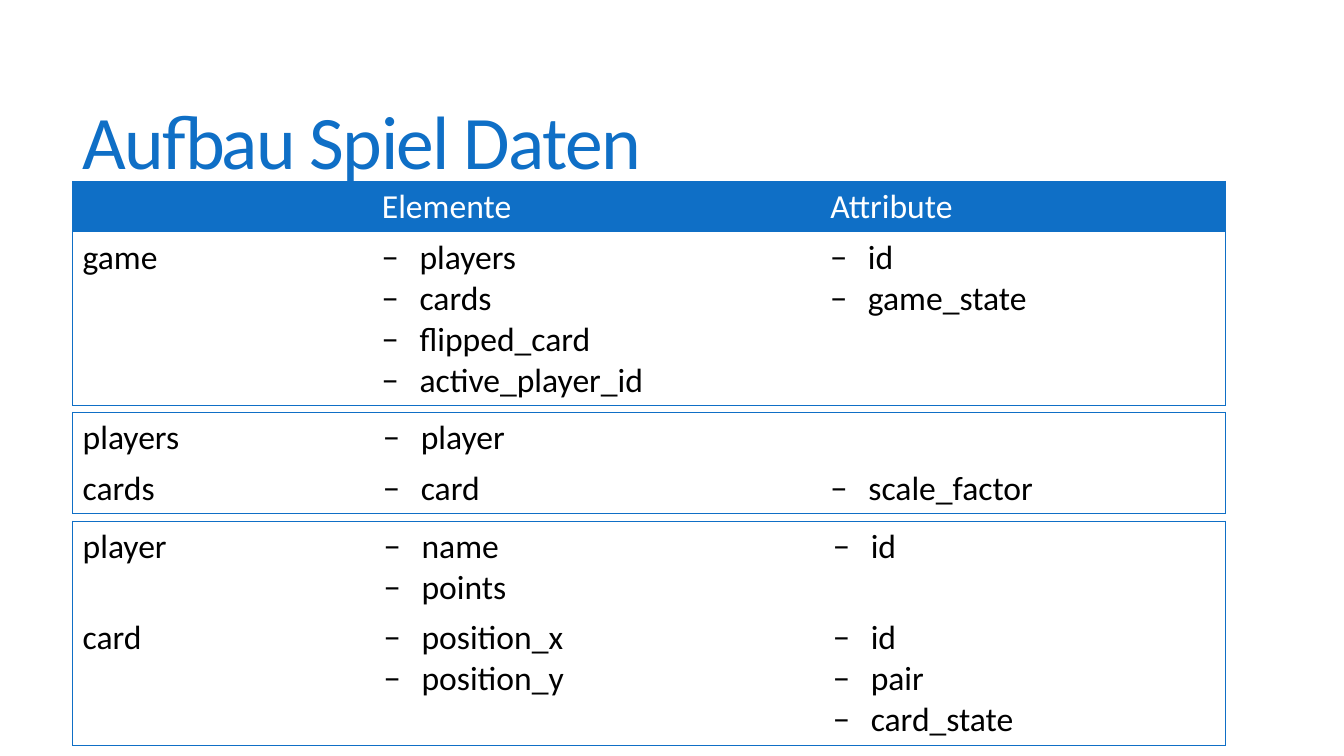
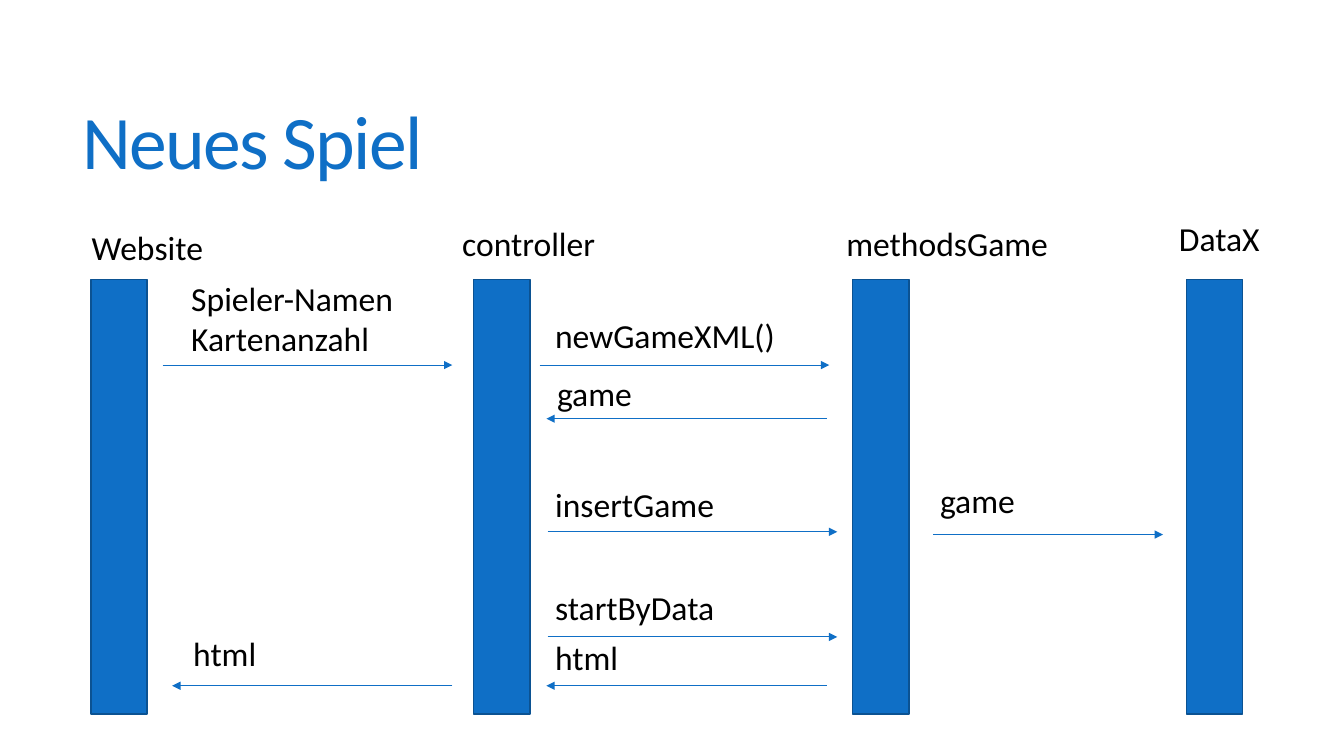
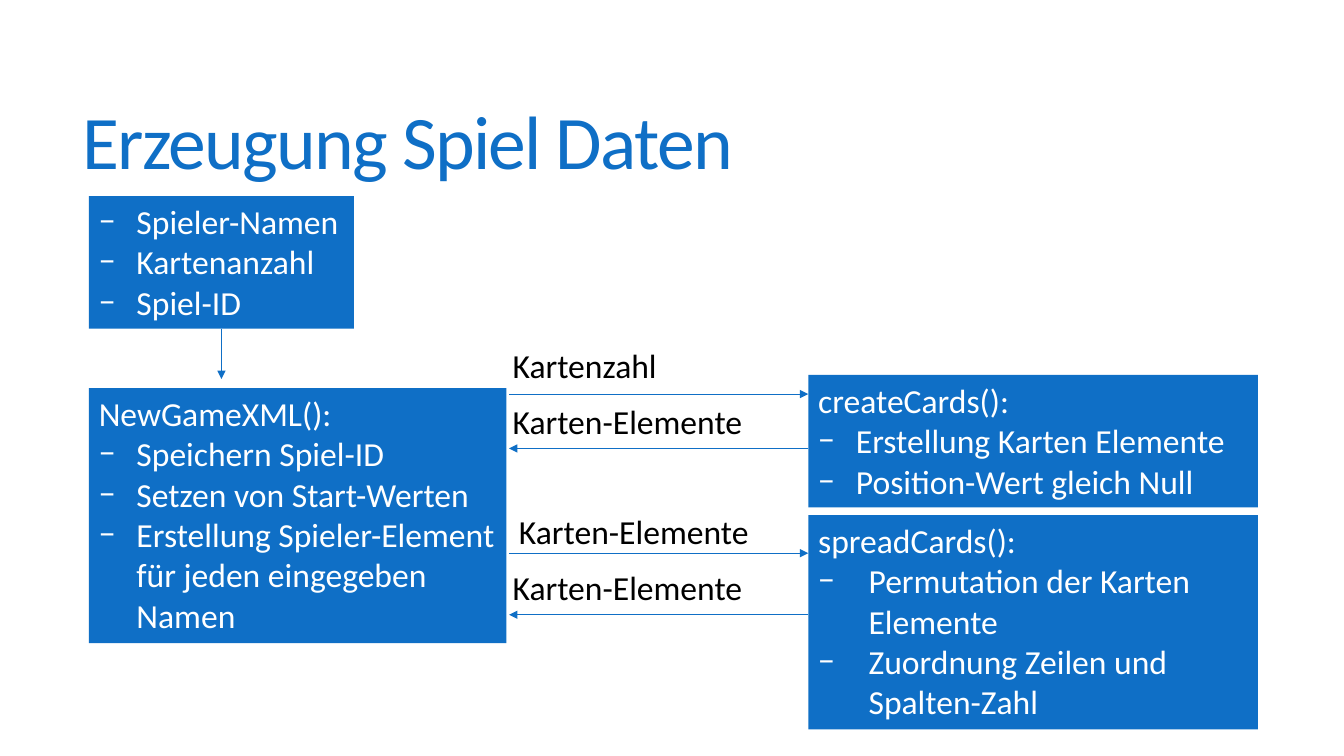
"""Builds three slides on the data and the calls of a card game."""
from dataclasses import dataclass

from lxml import etree
from pptx import Presentation
from pptx.dml.color import RGBColor
from pptx.enum.shapes import MSO_CONNECTOR, MSO_SHAPE
from pptx.enum.text import MSO_ANCHOR, PP_ALIGN
from pptx.oxml.ns import qn
from pptx.util import Cm, Pt

RECT = MSO_SHAPE.RECTANGLE
STRAIGHT = MSO_CONNECTOR.STRAIGHT
TOP, MIDDLE = MSO_ANCHOR.TOP, MSO_ANCHOR.MIDDLE
LEFT = PP_ALIGN.LEFT
COLORS = {"blue": "0F6FC6", "edge": "0B5292", "white": "FFFFFF", "black": "000000"}
FONT = "Calibri"
SIZE = 24
THIN = 0.75
PAD, STEP = 0.25, 1.03
INDENT = 0.95
BAR_TOP, BAR_WIDE, BAR_HIGH = 7.04, 1.42, 10.95


@dataclass
class Para:
    text: str
    indent: float = 0


@dataclass
class Label:
    left: float
    top: float
    text: str
    width: float = 6.68


@dataclass
class Arrow:
    start: float
    end: float
    y: float


@dataclass
class Box:
    left: float
    top: float
    width: float
    lines: int
    paras: list[Para]


@dataclass
class Grid:
    top: float
    widths: list[float]
    rows: list[tuple[str, list[str], list[str]]]
    head: bool = False


GRIDS = [
    Grid(4.57, [7.54, 11.3, 10.21], [
        ("", ["Elemente"], ["Attribute"]),
        ("game", ["players", "cards", "flipped_card", "active_player_id"],
         ["id", "game_state"]),
    ], True),
    Grid(10.39, [7.57, 11.28, 10.2], [
        ("players", ["player"], []),
        ("cards", ["card"], ["scale_factor"]),
    ]),
    Grid(13.13, [7.59, 11.32, 10.14], [
        ("player", ["name", "points"], ["id"]),
        ("card", ["position_x", "position_y"], ["id", "pair", "card_state"]),
    ]),
]
BARS = [2.29, 11.94, 21.49, 29.9]
CALLS = [
    Label(2.06, 5.59, "Website"),
    Label(11.4, 5.49, "controller"),
    Label(21.08, 5.49, "methodsGame"),
    Label(29.46, 5.36, "DataX", 4.39),
    Label(4.57, 6.88, "Spieler-Namen\nKartenanzahl"),
    Label(13.74, 7.82, "newGameXML()"),
    Label(13.79, 9.27, "game"),
    Label(13.74, 12.07, "insertGame"),
    Label(23.44, 11.96, "game"),
    Label(13.74, 14.66, "startByData"),
    Label(13.74, 15.93, "html"),
    Label(4.62, 15.82, "html"),
]
FLOWS = [
    Arrow(4.1, 11.4, 9.2),
    Arrow(13.6, 20.9, 9.2),
    Arrow(20.83, 13.77, 10.55),
    Arrow(13.8, 21.1, 13.4),
    Arrow(23.52, 29.31, 13.47),
    Arrow(13.8, 21.1, 16.05),
    Arrow(20.83, 13.77, 17.28),
    Arrow(11.4, 4.34, 17.28),
]
INPUT = Box(2.24, 4.94, 6.68, 3, [
    Para("Spieler-Namen", INDENT),
    Para("Kartenanzahl", INDENT),
    Para("Spiel-ID", INDENT),
])
STEPS = [
    Box(2.24, 9.78, 10.52, 6, [
        Para("NewGameXML():"),
        Para("Speichern Spiel-ID", INDENT),
        Para("Setzen von Start-Werten", INDENT),
        Para("Erstellung Spieler-Element für jeden eingegeben Namen", INDENT),
    ]),
    Box(20.37, 9.45, 11.33, 3, [
        Para("createCards():"),
        Para("Erstellung Karten Elemente", INDENT),
        Para("Position-Wert gleich Null", INDENT),
    ]),
    Box(20.37, 12.98, 11.33, 5, [
        Para("spreadCards():"),
        Para("Permutation der Karten Elemente", 1.27),
        Para("Zuordnung Zeilen und Spalten-Zahl", 1.27),
    ]),
]
NOTES = [
    Label(12.67, 8.56, "Kartenzahl"),
    Label(12.67, 9.98, "Karten-Elemente"),
    Label(12.83, 12.75, "Karten-Elemente"),
    Label(12.67, 14.17, "Karten-Elemente"),
]
LINKS = [
    Arrow(12.83, 20.37, 9.93),
    Arrow(20.37, 12.83, 11.3),
    Arrow(12.83, 20.37, 13.94),
    Arrow(20.37, 12.83, 15.49),
]


def shade(name: str) -> RGBColor:
    """Gives a named colour."""
    return RGBColor.from_string(COLORS[name])


def height(lines: int) -> float:
    """Gives the height in cm of so many lines with their margins."""
    return PAD + STEP * lines


def write(frame, paras: list[Para], color: str, size: int = SIZE) -> None:
    """Fills a text frame, with a dash before each indented paragraph."""
    frame.word_wrap = True
    for i, item in enumerate(paras):
        para = frame.paragraphs[0] if i == 0 else frame.add_paragraph()
        para.alignment = LEFT
        if item.indent:
            props = para._p.get_or_add_pPr()
            props.set("marL", str(Cm(item.indent)))
            props.set("indent", str(-Cm(item.indent)))
            etree.SubElement(props, qn("a:buFont"), typeface=FONT)
            etree.SubElement(props, qn("a:buChar"), char="−")
        run = para.add_run()
        run.text = item.text
        run.font.name = FONT
        run.font.size = Pt(size)
        run.font.color.rgb = shade(color)


def start(deck, title: str):
    """Adds a blank slide with its title."""
    slide = deck.slides.add_slide(deck.slide_layouts[6])
    frame = slide.shapes.add_textbox(Cm(1.83), Cm(1.4), Cm(29.92), Cm(4.6)).text_frame
    frame.vertical_anchor = MIDDLE
    write(frame, [Para(title)], "blue", 54)
    para = frame.paragraphs[0]
    para.line_spacing = 0.85
    para.runs[0]._r.get_or_add_rPr().set("spc", "-120")
    return slide


def add_label(slide, label: Label) -> None:
    """Adds a plain text label."""
    paras = [Para(text) for text in label.text.split("\n")]
    box = slide.shapes.add_textbox(
        Cm(label.left), Cm(label.top), Cm(label.width), Cm(height(len(paras))))
    write(box.text_frame, paras, "black")


def add_rect(slide, left: float, top: float, width: float, high: float):
    """Adds a blue rectangle without a line."""
    rect = slide.shapes.add_shape(RECT, Cm(left), Cm(top), Cm(width), Cm(high))
    rect.shadow.inherit = False
    rect.fill.solid()
    rect.fill.fore_color.rgb = shade("blue")
    rect.line.fill.background()
    return rect


def add_bar(slide, left: float) -> None:
    """Adds the lifeline of one part."""
    line = add_rect(slide, left, BAR_TOP, BAR_WIDE, BAR_HIGH).line
    line.color.rgb = shade("edge")
    line.width = Pt(1)


def add_box(slide, box: Box):
    """Adds a blue box with white text."""
    rect = add_rect(slide, box.left, box.top, box.width, height(box.lines))
    rect.text_frame.vertical_anchor = TOP
    write(rect.text_frame, box.paras, "white")
    return rect


def add_line(slide, x: float, y: float, to_x: float, to_y: float):
    """Adds a thin line with an arrowhead at its end."""
    line = slide.shapes.add_connector(STRAIGHT, Cm(x), Cm(y), Cm(to_x), Cm(to_y))
    line.line.color.rgb = shade("blue")
    line.line.width = Pt(THIN)
    props = line._element.spPr
    etree.SubElement(props.find(qn("a:ln")), qn("a:tailEnd"), type="triangle")
    etree.SubElement(props, qn("a:effectLst"))
    return line


def add_flow(slide, arrow: Arrow) -> None:
    """Adds a level arrow."""
    add_line(slide, arrow.start, arrow.y, arrow.end, arrow.y)


def frame_cell(cell, sides: dict[str, bool]) -> None:
    """Draws the outer sides of a cell and hides the inner ones."""
    props = cell._tc.get_or_add_tcPr()
    for i, (side, outer) in enumerate(sides.items()):
        line = etree.Element(qn(f"a:ln{side}"), w=str(Pt(THIN)))
        if outer:
            fill = etree.SubElement(line, qn("a:solidFill"))
            etree.SubElement(fill, qn("a:srgbClr"), val=COLORS["blue"])
        else:
            etree.SubElement(line, qn("a:noFill"))
        props.insert(i, line)


def add_grid(slide, grid: Grid) -> None:
    """Adds one framed table."""
    count, cols = len(grid.rows), len(grid.widths)
    highs = [height(max(1, len(parts), len(attrs))) for _, parts, attrs in grid.rows]
    table = slide.shapes.add_table(
        count, cols, Cm(1.83), Cm(grid.top), Cm(sum(grid.widths)), Cm(sum(highs))).table
    table.first_row = table.horz_banding = False
    for col, width in zip(table.columns, grid.widths):
        col.width = Cm(width)
    for r, (name, parts, attrs) in enumerate(grid.rows):
        table.rows[r].height = Cm(highs[r])
        head = grid.head and r == 0
        indent = 0 if head else INDENT
        texts = [[Para(name)] if name else []]
        texts += [[Para(text, indent) for text in group] for group in (parts, attrs)]
        for c, paras in enumerate(texts):
            cell = table.cell(r, c)
            if head:
                cell.fill.solid()
                cell.fill.fore_color.rgb = shade("blue")
            else:
                cell.fill.background()
            write(cell.text_frame, paras, "white" if head else "black")
            frame_cell(cell, {"L": c == 0, "R": c == cols - 1,
                              "T": r == 0, "B": r == count - 1})


def draw_data(deck) -> None:
    """Draws the tables of elements and attributes."""
    slide = start(deck, "Aufbau Spiel Daten")
    for grid in GRIDS:
        add_grid(slide, grid)


def draw_calls(deck) -> None:
    """Draws the sequence of calls for a new game."""
    slide = start(deck, "Neues Spiel")
    for left in BARS:
        add_bar(slide, left)
    for label in CALLS:
        add_label(slide, label)
    for flow in FLOWS:
        add_flow(slide, flow)


def draw_steps(deck) -> None:
    """Draws the steps that make the game data."""
    slide = start(deck, "Erzeugung Spiel Daten")
    first = add_box(slide, INPUT)
    for box in STEPS:
        add_box(slide, box)
    mid = INPUT.left + INPUT.width / 2
    down = add_line(slide, mid, INPUT.top + height(INPUT.lines), mid, 9.55)
    down.begin_connect(first, 2)
    for link in LINKS:
        add_flow(slide, link)
    for note in NOTES:
        add_label(slide, note)


def main() -> None:
    """Builds and saves the deck."""
    deck = Presentation()
    deck.slide_width, deck.slide_height = Cm(33.87), Cm(19.05)
    draw_data(deck)
    draw_calls(deck)
    draw_steps(deck)
    deck.save("out.pptx")


if __name__ == "__main__":
    main()
